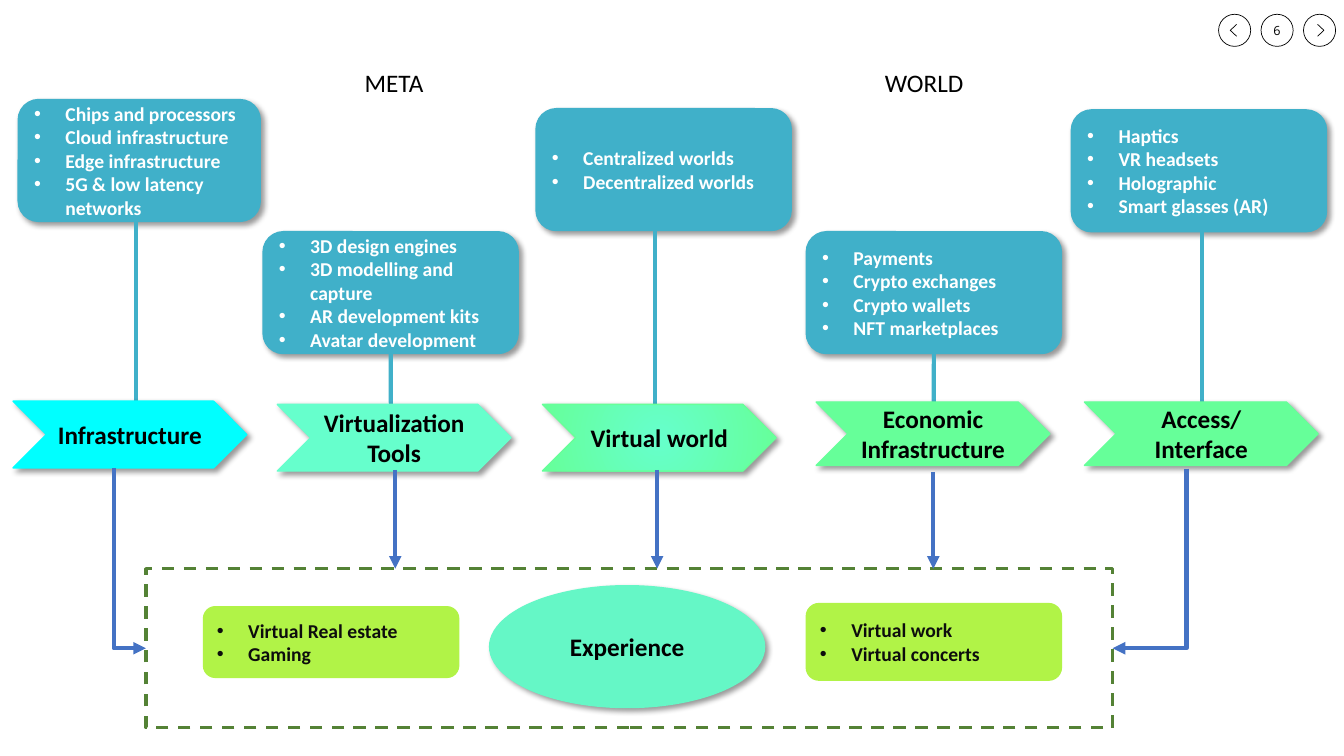
import pptx
import pptx.dml.color
import pptx.enum.dml
import pptx.enum.shapes
import pptx.enum.text
import pptx.oxml
import pptx.oxml.ns
import pptx.util
from lxml import etree

Cm = pptx.util.Cm
Pt = pptx.util.Pt
qn = pptx.oxml.ns.qn
SHAPES = pptx.enum.shapes.MSO_SHAPE
CONNECTORS = pptx.enum.shapes.MSO_CONNECTOR
ALIGN = pptx.enum.text.PP_ALIGN

COLORS = {
    "card": "40B0C9", "cyan": "00FFFF", "mint": "66FFCC", "green": "66FF99",
    "lime": "B1F347", "experience": "65F7C6", "region": "548235",
    "arrow": "4472C4", "black": "000000", "white": "FFFFFF", "dark": "0D0D0D",
}

# Lengths are centimetres; boxes are left, top, width, height.
STAGES = [
    {"name": "Infrastructure", "chevron": (0.33, 10.11, 5.89, 1.68), "fill": "cyan",
     "card": (0.46, 2.51, 6.1, 3.07), "line_x": 3.43,
     "items": ["Chips and processors", "Cloud infrastructure", "Edge infrastructure",
               "5G & low latency networks"]},
    {"name": "Virtualization Tools", "chevron": (6.99, 10.19, 5.89, 1.68), "fill": "mint",
     "card": (6.63, 5.84, 6.43, 3.07), "line_x": 9.85,
     "items": ["3D design engines", "3D modelling and capture", "AR development kits",
               "Avatar development"]},
    {"name": "Virtual world", "chevron": (13.67, 10.19, 5.89, 1.68), "fill": ("mint", "green"),
     "card": (13.51, 2.74, 6.43, 3.07), "line_x": 16.51,
     "items": ["Centralized worlds", "Decentralized worlds"]},
    {"name": "Economic Infrastructure", "chevron": (20.57, 10.13, 5.89, 1.6), "fill": "green",
     "card": (20.32, 5.84, 6.43, 3.07), "line_x": 23.53,
     "items": ["Payments", "Crypto exchanges", "Crypto wallets", "NFT marketplaces"]},
    {"name": "Access/ Interface", "chevron": (27.33, 10.13, 5.89, 1.6), "fill": "green",
     "card": (27.0, 2.77, 6.43, 3.07), "line_x": 30.3,
     "items": ["Haptics", "VR headsets", "Holographic", "Smart glasses (AR)"]},
]
REGION = (3.68, 14.33, 24.36, 4.01)
EXPERIENCE = ("Experience", (12.34, 14.76, 6.93, 3.07))
EXAMPLES = [
    (["Virtual work", "Virtual concerts"], (20.32, 15.21, 6.43, 1.93)),
    (["Virtual Real estate", "Gaming"], (5.13, 15.29, 6.43, 1.78)),
]
DOWN_ARROWS = [(9.96, 11.84), (16.56, 11.84), (23.52, 11.89)]
SIDE_ARROWS = [((2.87, 11.79), REGION[0]), ((29.9, 11.81), REGION[0] + REGION[2])]
TITLES = [("META", 8.94), ("WORLD", 22.05)]
PAGE_NUMBER = "6"
NAV_LEFT, NAV_TOP, NAV_SIZE, NAV_STEP = 30.71, 0.36, 0.81, 1.07

presentation = pptx.Presentation()
presentation.slide_width = Cm(33.87)
presentation.slide_height = Cm(19.05)
slide = presentation.slides.add_slide(presentation.slide_layouts[6])


def rgb(name):
    return pptx.dml.color.RGBColor.from_string(COLORS[name])


def lengths(values):
    return [Cm(value) for value in values]


def set_line(line, color, width):
    line.color.rgb = rgb(color)
    line.width = Pt(width)


def set_radial_gradient(shape, center, rim):
    shape.fill.gradient()
    for stop, color in zip(shape.fill.gradient_stops, (center, rim)):
        stop.color.rgb = rgb(color)
    gradient = shape._element.spPr.find(qn("a:gradFill"))
    gradient.remove(gradient.find(qn("a:lin")))
    circle = etree.SubElement(gradient, qn("a:path"))
    circle.set("path", "circle")
    etree.SubElement(circle, qn("a:fillToRect"), l="50000", t="50000", r="50000", b="50000")


def add_box(kind, box, fill=None, line=None, line_width=1, shadow=False):
    shape = slide.shapes.add_shape(kind, *lengths(box))
    if fill:
        shape.fill.solid()
        shape.fill.fore_color.rgb = rgb(fill)
    else:
        shape.fill.background()
    set_line(shape.line, line or fill, line_width)
    shape.shadow.inherit = False
    if shadow:
        effects = shape._element.spPr.find(qn("a:effectLst"))
        outer = etree.SubElement(effects, qn("a:outerShdw"), blurRad="50800", dist="38100",
                                 dir="2700000", algn="tl", rotWithShape="0")
        color = etree.SubElement(outer, qn("a:srgbClr"), val=COLORS["black"])
        etree.SubElement(color, qn("a:alpha"), val="40000")
    return shape


def write(shape, lines, size, color, bold=False, align=ALIGN.LEFT, bullets=False,
          font="Calibri"):
    frame = shape.text_frame
    frame.word_wrap = True
    frame.text = "\n".join(lines)
    for paragraph in frame.paragraphs:
        paragraph.alignment = align
        if bullets:
            properties = paragraph._p.get_or_add_pPr()
            properties.set("marL", str(Cm(0.79)))
            properties.set("indent", str(-Cm(0.79)))
            etree.SubElement(properties, qn("a:buFont"), typeface="Arial")
            etree.SubElement(properties, qn("a:buChar"), char="•")
        for run in paragraph.runs:
            run.font.name = font
            run.font.size = Pt(size)
            run.font.bold = bold
            run.font.color.rgb = rgb(color)


def add_label_shape(kind, box, text, fill):
    shape = add_box(kind, box, fill, shadow=True)
    shape.text_frame.vertical_anchor = pptx.enum.text.MSO_ANCHOR.MIDDLE
    write(shape, [text], 18, "black", True, ALIGN.CENTER)
    return shape


def add_list_card(box, items, fill, color, shadow):
    card = add_box(SHAPES.ROUNDED_RECTANGLE, box, fill, shadow=shadow)
    card.text_frame.vertical_anchor = pptx.enum.text.MSO_ANCHOR.MIDDLE
    write(card, items, 14, color, True, bullets=True)
    return card


def add_link(kind, start, end, color, arrow=False):
    link = slide.shapes.add_connector(kind, *lengths(start + end))
    set_line(link.line, color, 3)
    if arrow:
        etree.SubElement(link.line._get_or_add_ln(), qn("a:tailEnd"), type="triangle")
    etree.SubElement(link._element.spPr, qn("a:effectLst"))
    return link


def add_side_arrow(start, end):
    """Elbow that goes straight down from start, then sideways to end."""
    (x1, y1), (x2, y2) = start, end
    middle_x, middle_y = (x1 + x2) / 2, (y1 + y2) / 2
    half_width, half_height = abs(y2 - y1) / 2, abs(x2 - x1) / 2
    link = add_link(CONNECTORS.ELBOW, (middle_x - half_width, middle_y - half_height),
                    (middle_x + half_width, middle_y + half_height), "arrow", True)
    properties = link._element.spPr
    properties.find(qn("a:prstGeom")).set("prst", "bentConnector2")
    frame = properties.find(qn("a:xfrm"))
    if x2 > x1:
        frame.set("rot", "16200000")
        frame.set("flipH", "1")
    else:
        frame.set("rot", "5400000")


for index, direction in enumerate((-1, 0, 1)):
    left = NAV_LEFT + index * NAV_STEP
    button = (left, NAV_TOP, NAV_SIZE, NAV_SIZE)
    add_box(SHAPES.OVAL, button, line="black", line_width=0.5)
    center_x, center_y = left + NAV_SIZE / 2, NAV_TOP + NAV_SIZE / 2
    if direction:
        back_x, tip_x = center_x - direction * 0.05, center_x + direction * 0.11
        builder = slide.shapes.build_freeform(Cm(back_x), Cm(center_y - 0.15))
        builder.add_line_segments([lengths((tip_x, center_y)),
                                   lengths((back_x, center_y + 0.15))], close=False)
        pointer = builder.convert_to_shape()
        pointer.fill.background()
        set_line(pointer.line, "black", 0.5)
        pointer.shadow.inherit = False
    else:
        number = slide.shapes.add_textbox(*lengths(button))
        number.text_frame.vertical_anchor = pptx.enum.text.MSO_ANCHOR.MIDDLE
        write(number, [PAGE_NUMBER], 9, "black", align=ALIGN.CENTER, font="Open Sans")

for stage in STAGES:
    left, top, width, height = stage["card"]
    card = add_list_card(stage["card"], stage["items"], "card", "white", True)
    link = add_link(CONNECTORS.STRAIGHT, (stage["line_x"], top + height),
                    (stage["line_x"], stage["chevron"][1]), "card")
    if abs(left + width / 2 - stage["line_x"]) < 0.03:
        link.begin_connect(card, 2)
    blended = isinstance(stage["fill"], tuple)
    solid = stage["fill"][1] if blended else stage["fill"]
    chevron = add_label_shape(SHAPES.CHEVRON, stage["chevron"], stage["name"], solid)
    if blended:
        set_radial_gradient(chevron, *stage["fill"])

for items, box in EXAMPLES:
    add_list_card(box, items, "lime", "dark", False)
add_label_shape(SHAPES.OVAL, EXPERIENCE[1], EXPERIENCE[0], "experience")
region = add_box(SHAPES.RECTANGLE, REGION, line="region", line_width=2.25)
region.line.dash_style = pptx.enum.dml.MSO_LINE.DASH

for x, top in DOWN_ARROWS:
    add_link(CONNECTORS.STRAIGHT, (x, top), (x, REGION[1]), "arrow", True)
for start, edge_x in SIDE_ARROWS:
    add_side_arrow(start, (edge_x, REGION[1] + REGION[3] / 2))
for text, left in TITLES:
    write(slide.shapes.add_textbox(*lengths((left, 1.57, 3.4, 1.02))), [text], 18, "black")

presentation.save("out.pptx")
